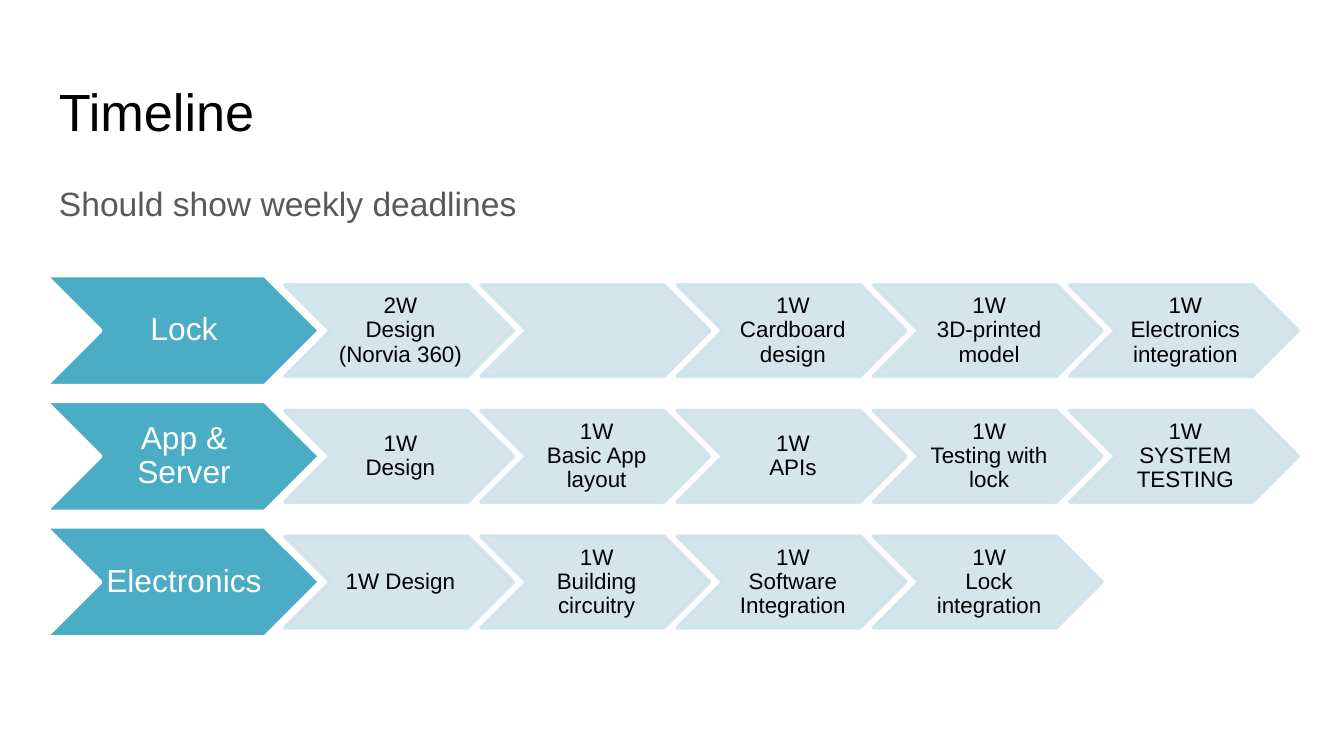
from pptx import Presentation
from pptx import util as u
from pptx.dml.color import RGBColor
from pptx.enum import shapes, text
from pptx.oxml.ns import qn
from lxml import etree

HEADINGS = [
    ("Timeline", "title", 0.49, 0.63),
    ("Should show weekly deadlines", "subtitle", 1.26, 3.74),
]
TRACKS = [
    ("Lock", [["2W", "Design (Norvia 360)"], [], ["1W", "Cardboard design"],
              ["1W", "3D-printed model"], ["1W", "Electronics integration"]]),
    ("App & Server", [["1W", "Design"], ["1W", "Basic App layout"], ["1W", "APIs"],
                      ["1W", "Testing with lock"], ["1W", "SYSTEM TESTING"]]),
    ("Electronics", [["1W Design"], ["1W", "Building circuitry"],
                     ["1W", "Software Integration"], ["1W", "Lock integration"]]),
]
THEME = {
    "font": "Arial",
    "title": {"size": 28, "color": "000000"},
    "subtitle": {"size": 18, "color": "595959"},
    "track": {"size": 17, "color": "FFFFFF", "fill": "4BACC6", "line": "FFFFFF", "alpha": 100},
    "step": {"size": 12, "color": "000000", "fill": "D0E3EA", "line": "D0E3EA", "alpha": 90},
}
SLIDE_W = 10
SLIDE_H = SLIDE_W * 9 / 16
LEFT = 0.34
WIDTH = SLIDE_W - 2 * LEFT
TRACK_W, TRACK_H = 2.04, 0.82
STEP_W, STEP_H = 1.7, 0.68
STEP_LEFT, STEP_PITCH = 2.12, 1.46
FIRST_TOP, LAST_TOP = 2.05, 3.92


def write(tf, lines, style, insets, align=None, spacing=None):
    """Fill a text frame with one paragraph per line."""
    tf.word_wrap = True
    tf.margin_left, tf.margin_top, tf.margin_right, tf.margin_bottom = map(u.Inches, insets)
    for i, line in enumerate(lines):
        p = tf.add_paragraph() if i else tf.paragraphs[0]
        p.alignment, p.line_spacing = align, spacing
        r = p.add_run()
        r.text = line
        r.font.name = THEME["font"]
        r.font.size = u.Pt(style["size"])
        r.font.color.rgb = RGBColor.from_string(style["color"])


def add_heading(s, line, role, top, height):
    """Add a full-width text box."""
    box = s.shapes.add_textbox(*map(u.Inches, (LEFT, top, WIDTH, height)))
    write(box.text_frame, [line], THEME[role], (0.1,) * 4)


def add_chevron(s, lines, role, left, top, width, height):
    """Add a chevron styled by its role."""
    style = THEME[role]
    sp = s.shapes.add_shape(shapes.MSO_SHAPE.CHEVRON,
                            *map(u.Inches, (left, top, width, height)))
    sp.adjustments[0] = 0.5
    sp.shadow.inherit = False
    sp.fill.solid()
    sp.fill.fore_color.rgb = RGBColor.from_string(style["fill"])
    sp.line.color.rgb = RGBColor.from_string(style["line"])
    sp.line.width = u.Pt(2)
    if style["alpha"] < 100:
        for color in sp.element.spPr.iter(qn("a:srgbClr")):
            etree.SubElement(color, qn("a:alpha")).set("val", str(style["alpha"] * 1000))
    tf = sp.text_frame
    tf.vertical_anchor = text.MSO_ANCHOR.MIDDLE
    write(tf, lines, style, (0.02, 0.01, 0, 0.01), text.PP_ALIGN.CENTER, 0.9)


def main():
    """Build the timeline slide."""
    prs = Presentation()
    prs.slide_width, prs.slide_height = u.Inches(SLIDE_W), u.Inches(SLIDE_H)
    s = prs.slides.add_slide(prs.slide_layouts[6])
    for heading in HEADINGS:
        add_heading(s, *heading)
    pitch = (LAST_TOP - FIRST_TOP) / (len(TRACKS) - 1)
    for row, (name, steps) in enumerate(TRACKS):
        top = FIRST_TOP + row * pitch
        add_chevron(s, [name], "track", LEFT, top, TRACK_W, TRACK_H)
        step_top = top + (TRACK_H - STEP_H) / 2
        for col, lines in enumerate(steps):
            add_chevron(s, lines, "step", STEP_LEFT + col * STEP_PITCH, step_top, STEP_W, STEP_H)
    prs.save("out.pptx")


if __name__ == "__main__":
    main()
